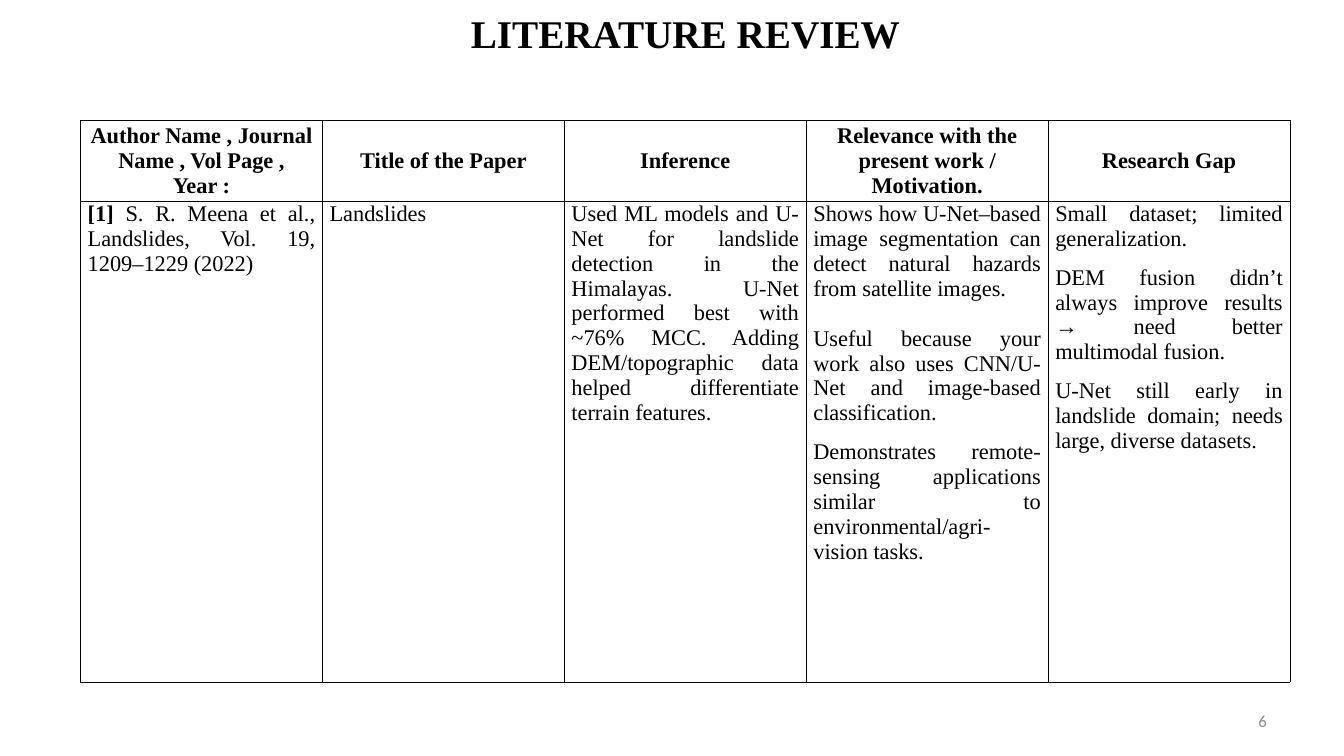
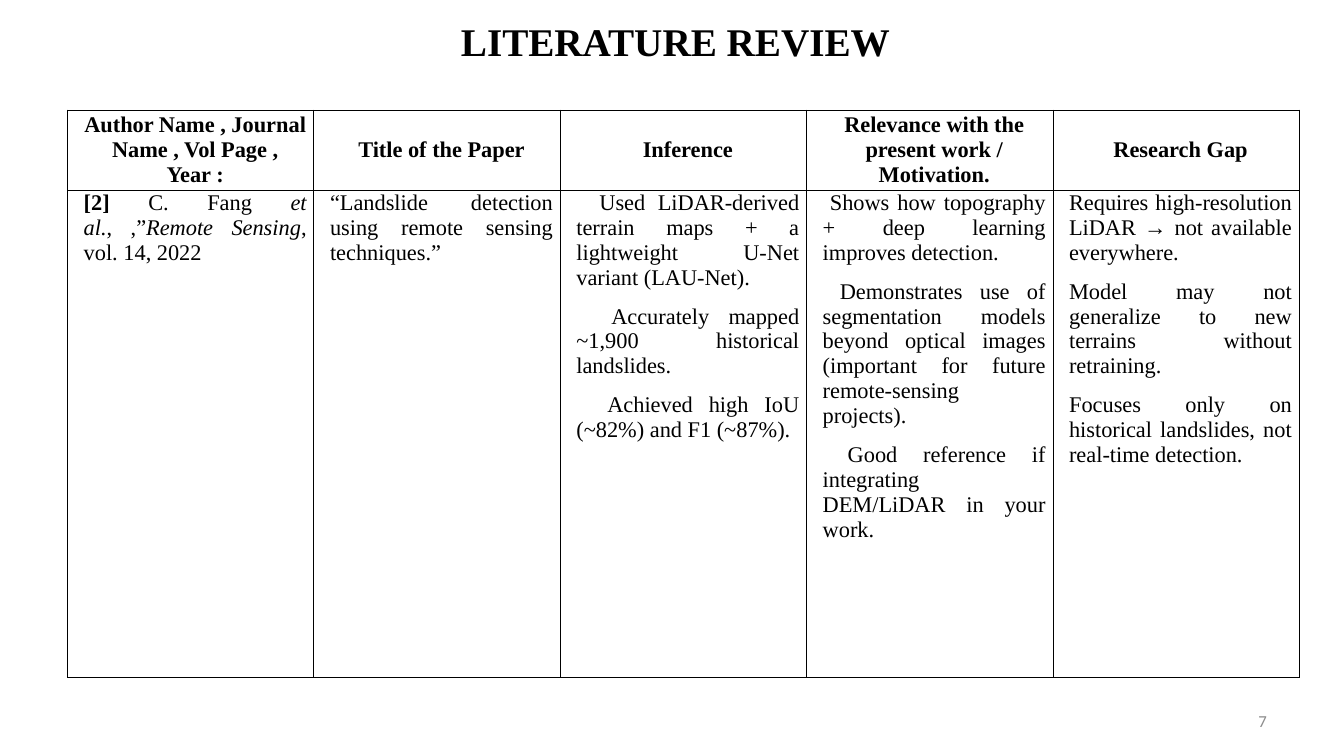
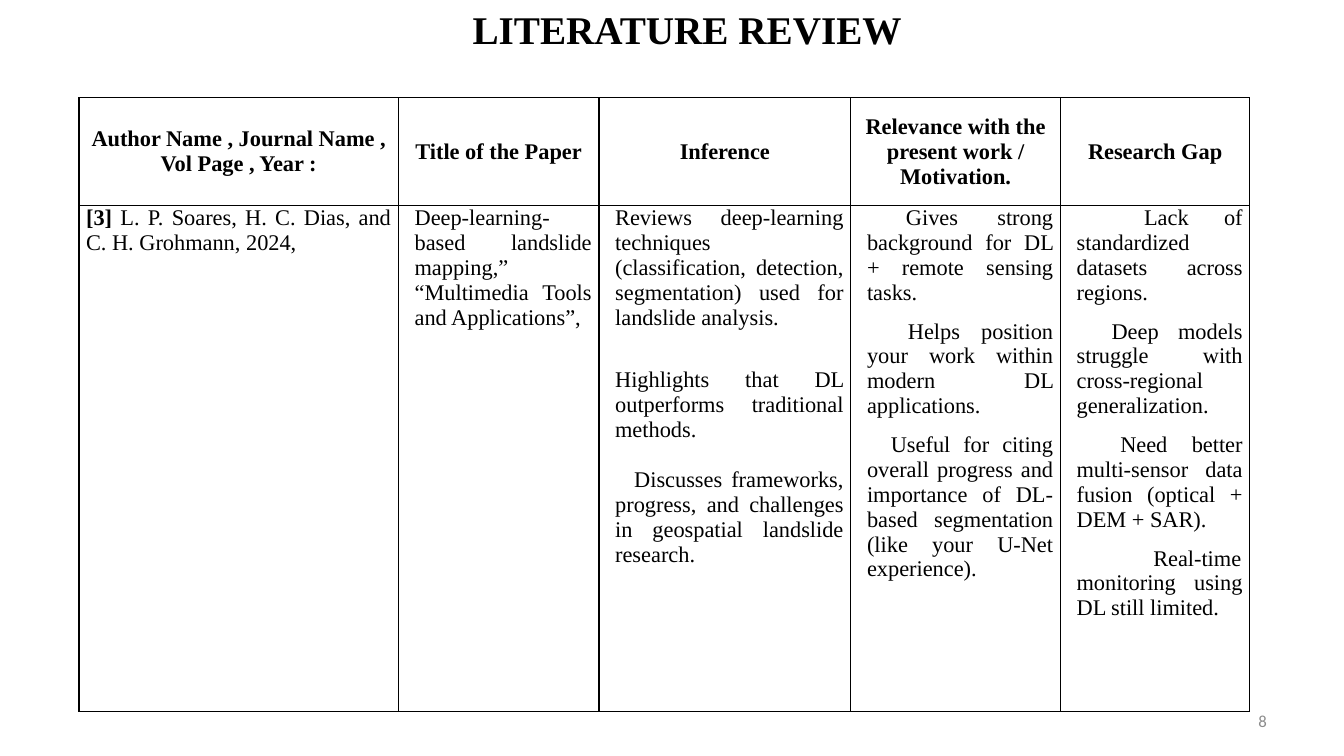
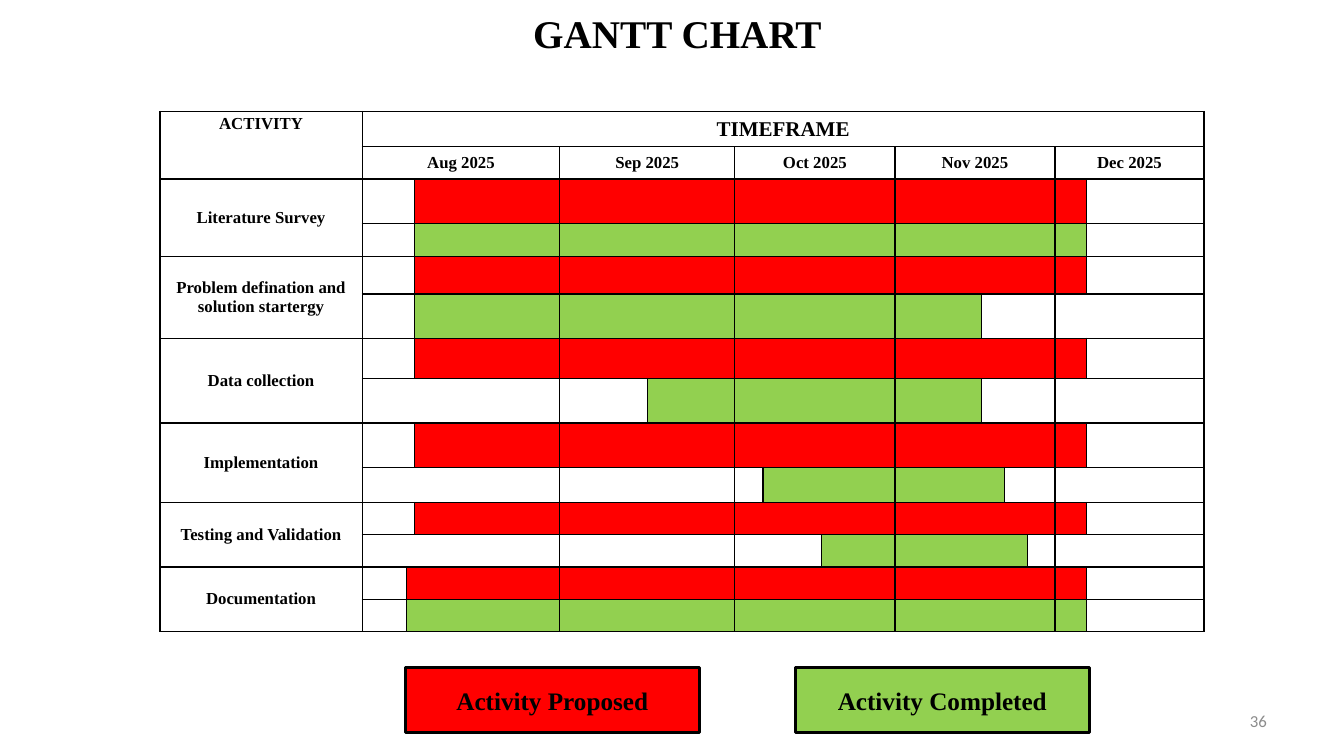
import pptx
import pptx.util
import pptx.dml.color
import pptx.enum.text
import pptx.enum.shapes
import pptx.oxml
import pptx.oxml.ns

Cm = pptx.util.Cm
Pt = pptx.util.Pt
ALIGN = pptx.enum.text.PP_ALIGN
ANCHOR = pptx.enum.text.MSO_ANCHOR

SERIF, SANS = "Times New Roman", "Calibri"
BLACK, WHITE, GREY = "000000", "FFFFFF", "8C8C8C"
RED, GREEN = "FF0000", "92D050"

HEADS = [
    "Author Name , Journal Name , Vol Page , Year :",
    "Title of the Paper",
    "Inference",
    "Relevance with the present work / Motivation.",
    "Research Gap",
]


def tint(code):
    return pptx.dml.color.RGBColor.from_string(code)


def paint(fill, code):
    fill.solid()
    fill.fore_color.rgb = tint(code)


def place(shape, box):
    shape.left, shape.top, shape.width, shape.height = [Cm(v) for v in box]


def add_run(para, text, size, style="", face=SERIF, ink=BLACK):
    run = para.add_run()
    run.text = text
    font = run.font
    font.name, font.size = face, Pt(size)
    font.bold, font.italic = "b" in style, "i" in style
    font.color.rgb = tint(ink)


def add_line(frame, text, size, align=ALIGN.CENTER, **look):
    para = frame.paragraphs[0]
    para.alignment = align
    add_run(para, text, size, **look)


def new_slide(deck, title, box, number):
    slide = deck.slides.add_slide(deck.slide_layouts[5])
    head = slide.shapes.title
    place(head, box)
    frame = head.text_frame
    frame.word_wrap = True
    frame.auto_size = pptx.enum.text.MSO_AUTO_SIZE.NONE
    frame.vertical_anchor = ANCHOR.MIDDLE
    add_line(frame, title, 28, style="b")
    note = slide.shapes.add_textbox(Cm(24.28), Cm(17.65), Cm(7.9), Cm(1.02))
    note.text_frame.word_wrap = True
    note.text_frame.vertical_anchor = ANCHOR.MIDDLE
    add_line(note.text_frame, number, 12, ALIGN.RIGHT, face=SANS, ink=GREY)
    return slide


def pad(cell, left, top, right, low):
    cell.margin_left, cell.margin_top = Cm(left), Cm(top)
    cell.margin_right, cell.margin_bottom = Cm(right), Cm(low)


def edge(cell, width):
    props = cell._tc.get_or_add_tcPr()
    for side in "LRTB":
        props.append(pptx.oxml.parse_xml(
            f'<a:ln{side} {pptx.oxml.ns.nsdecls("a")} w="{Pt(width)}">'
            f'<a:solidFill><a:srgbClr val="{BLACK}"/></a:solidFill></a:ln{side}>'))


def add_grid(slide, box, cols, rows, width):
    frame = slide.shapes.add_table(len(rows), len(cols), *[Cm(v) for v in box])
    table = frame.table
    table.first_row = table.horz_banding = False
    for parts, shares, full in ((table.columns, cols, box[2]), (table.rows, rows, box[3])):
        for part, share in zip(parts, shares):
            size = Cm(full * share / sum(shares))
            if parts is table.columns:
                part.width = size
            else:
                part.height = size
    for cell in table.iter_cells():
        pad(cell, 0, 0, 0, 0)
        edge(cell, width)
        paint(cell.fill, WHITE)
    return table


def item(text, indent=0, gap=10):
    runs = [(text, "")] if isinstance(text, str) else text
    return runs, indent, gap


def fill_body(cell, items):
    frame = cell.text_frame
    for k, (runs, indent, gap) in enumerate(items):
        para = frame.add_paragraph() if k else frame.paragraphs[0]
        para.alignment = ALIGN.JUSTIFY
        if k:
            para.space_before = Pt(gap)
        if indent:
            para._p.get_or_add_pPr().set("indent", str(Cm(indent)))
        for text, style in runs:
            add_run(para, text, 16, style)


def review(slide, box, cols, rows, body, pads, width=0.5):
    table = add_grid(slide, box, cols, rows, width)
    head_pad, first_pad, rest_pad = pads
    for c, (head, items) in enumerate(zip(HEADS, body)):
        top, low = table.cell(0, c), table.cell(1, c)
        pad(top, head_pad, 0, 0.18, 0)
        top.vertical_anchor = ANCHOR.MIDDLE
        add_line(top.text_frame, head, 16, style="b")
        pad(low, rest_pad if c else first_pad, 0, 0.18, 0)
        fill_body(low, items)


def label(table, start, end, text, size=12, anchor=ANCHOR.MIDDLE):
    cell = table.cell(*start)
    cell.merge(table.cell(*end))
    pad(cell, 0.15, 0.08, 0.15, 0.08)
    cell.vertical_anchor = anchor
    add_line(cell.text_frame, text, size, style="b")


def add_bar(table, row, edges, start, end, code):
    cuts = sorted({*edges, start, end})
    for a, b in zip(cuts, cuts[1:]):
        cell = table.cell(row, a)
        if b - a > 1:
            cell.merge(table.cell(row, b - 1))
        if start <= a < end:
            paint(cell.fill, code)


def gantt(slide, box, cols, rows, months, edges, tasks):
    table = add_grid(slide, box, cols, rows, 1)
    label(table, (0, 0), (1, 0), "ACTIVITY", anchor=ANCHOR.TOP)
    label(table, (0, 1), (0, len(cols) - 1), "TIMEFRAME", 15)
    for month, a, b in zip(months, edges, edges[1:]):
        label(table, (1, a), (1, b - 1), month)
    for k, (name, plan, done) in enumerate(tasks):
        row = 2 + 2 * k
        label(table, (row, 0), (row + 1, 0), name)
        add_bar(table, row, edges, *plan, RED)
        add_bar(table, row + 1, edges, *done, GREEN)


def legend(slide, box, keys):
    x, y, w, h = box
    wide = 7.42
    step = (w - wide) / (len(keys) - 1)
    for k, (text, code) in enumerate(keys):
        key = slide.shapes.add_shape(
            pptx.enum.shapes.MSO_SHAPE.RECTANGLE,
            Cm(x + k * step), Cm(y), Cm(wide), Cm(h))
        key.shadow.inherit = False
        paint(key.fill, code)
        key.line.color.rgb = tint(BLACK)
        key.line.width = Pt(2)
        key.text_frame.vertical_anchor = ANCHOR.MIDDLE
        add_line(key.text_frame, text, 18, style="b")


FIRST = [
    [item([("[1] ", "b"), ("S. R. Meena et al., Landslides, Vol. 19, 1209–1229 (2022)", "")])],
    [item("Landslides")],
    [item("Used ML models and U-Net for landslide detection in the Himalayas. U-Net performed "
          "best with ~76% MCC. Adding DEM/topographic data helped differentiate terrain features.")],
    [item("Shows how U-Net–based image segmentation can detect natural hazards from satellite images."),
     item("Useful because your work also uses CNN/U-Net and image-based classification.", gap=18),
     item("Demonstrates remote-sensing applications similar to environmental/agri-vision tasks.")],
    [item("Small dataset; limited generalization."),
     item("DEM fusion didn’t always improve results → need better multimodal fusion."),
     item("U-Net still early in landslide domain; needs large, diverse datasets.")],
]

SECOND = [
    [item([("[2] ", "b"), ("C. Fang ", ""), ("et al.", "i"), (", ,”", ""),
           ("Remote Sensing", "i"), (", vol. 14, 2022", "")])],
    [item("“Landslide detection using remote sensing techniques.”")],
    [item("Used LiDAR-derived terrain maps + a lightweight U-Net variant (LAU-Net).", 0.58),
     item("Accurately mapped ~1,900 historical landslides.", 0.88),
     item("Achieved high IoU (~82%) and F1 (~87%).", 0.78)],
    [item("Shows how topography + deep learning improves detection.", 0.18),
     item("Demonstrates use of segmentation models beyond optical images "
          "(important for future remote-sensing projects).", 0.43),
     item("Good reference if integrating DEM/LiDAR in your work.", 0.63)],
    [item("Requires high-resolution LiDAR → not available everywhere."),
     item("Model may not generalize to new terrains without retraining."),
     item("Focuses only on historical landslides, not real-time detection.")],
]

THIRD = [
    [item([("[3]", "b"), (" L. P. Soares, H. C. Dias, and C. H. Grohmann, 2024,", "")])],
    [item("Deep-learning-based landslide mapping,” “Multimedia Tools and Applications”,")],
    [item("Reviews deep-learning techniques (classification, detection, segmentation) "
          "used for landslide analysis."),
     item("Highlights that DL outperforms traditional methods.", gap=27),
     item("Discusses frameworks, progress, and challenges in geospatial landslide research.",
          0.48, 18)],
    [item("Gives strong background for DL + remote sensing tasks.", 0.98),
     item("Helps position your work within modern DL applications.", 1.03),
     item("Useful for citing overall progress and importance of DL-based segmentation "
          "(like your U-Net experience).", 0.6)],
    [item("Lack of standardized datasets across regions.", 1.7),
     item("Deep models struggle with cross-regional generalization.", 0.88),
     item("Need better multi-sensor data fusion (optical + DEM + SAR).", 1.1),
     item("Real-time monitoring using DL still limited.", 1.93)],
]

MONTHS = ["Aug 2025", "Sep 2025", "Oct 2025", "Nov 2025", "Dec 2025"]
EDGES = [1, 4, 6, 9, 13, 15]
TASKS = [
    ("Literature Survey", (3, 14), (3, 14)),
    ("Problem defination and solution startergy", (3, 14), (3, 10)),
    ("Data collection", (3, 14), (5, 10)),
    ("Implementation", (3, 14), (7, 11)),
    ("Testing and Validation", (3, 14), (8, 12)),
    ("Documentation", (2, 14), (2, 14)),
]


def main():
    deck = pptx.Presentation()
    deck.slide_width, deck.slide_height = Cm(33.87), Cm(19.05)
    topic = "LITERATURE REVIEW"

    slide = new_slide(deck, topic, (2.03, 0.1, 30.48, 1.45), "6")
    review(slide, (2.03, 3.02, 30.48, 14.17), [1] * 5, [0.81, 4.77], FIRST, (0.18, 0.18, 0.18))

    slide = new_slide(deck, topic, (1.78, 0.28, 30.48, 1.52), "7")
    review(slide, (1.7, 2.77, 31.04, 14.17), [1] * 5, [0.75, 4.83], SECOND, (0.41, 0.41, 0.41))

    slide = new_slide(deck, topic, (2.24, 0, 30.15, 1.47), "8")
    review(slide, (1.99, 2.46, 29.51, 15.47), [3.17, 1.99, 2.5, 2.08, 1.88], [1.07, 5.02],
           THIRD, (0.18, 0.18, 0.41), 1)

    slide = new_slide(deck, "GANTT CHART", (1.83, 0, 30.48, 1.65), "36")
    gantt(slide, (4.03, 2.81, 26.32, 13.11),
          [2.01, 0.44, 0.08, 1.44, 0.87, 0.87, 0.28, 0.58, 0.73, 0.86, 0.23, 0.23, 0.27, 0.31, 1.17],
          [0.35, 0.32, 0.44, 0.33, 0.37, 0.44, 0.4, 0.44, 0.44, 0.35] + [0.32] * 4,
          MONTHS, EDGES, TASKS)
    legend(slide, (10.21, 16.82, 17.25, 1.65),
           [("Activity Proposed", RED), ("Activity Completed", GREEN)])

    deck.save("out.pptx")


if __name__ == "__main__":
    main()
